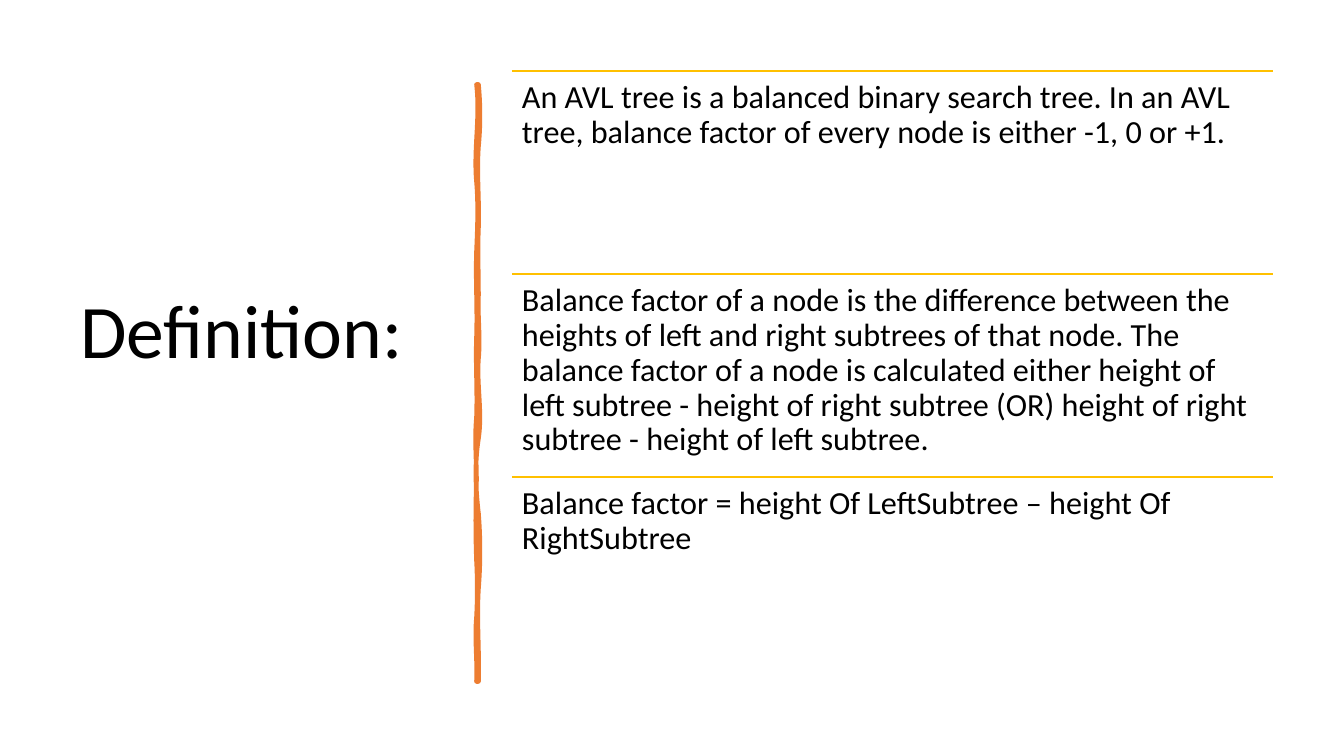
from copy import deepcopy
from pptx import Presentation
from pptx.dml.color import RGBColor
from pptx.enum.shapes import MSO_CONNECTOR
from pptx.enum.text import MSO_ANCHOR, MSO_AUTO_SIZE, PP_ALIGN
from pptx.oxml.ns import qn
from pptx.util import Pt
from lxml import etree

STRAIGHT = MSO_CONNECTOR.STRAIGHT
TOP, MIDDLE = MSO_ANCHOR.TOP, MSO_ANCHOR.MIDDLE
LEFT = PP_ALIGN.LEFT
NO_AUTOFIT = MSO_AUTO_SIZE.NONE
PX = 914400 / 100.8

THEME = {
    "font": "Calibri",
    "text": RGBColor(0x00, 0x00, 0x00),
    "brush": RGBColor(0xED, 0x7D, 0x31),
    "rule": RGBColor(0xFF, 0xC0, 0x00),
    "title_size": Pt(54),
    "body_size": Pt(23),
    "brush_width": Pt(3.25),
    "rule_width": Pt(1),
}


def px(length):
    return round(length * PX)


def write(frame, text, size, anchor):
    frame.word_wrap = True
    frame.auto_size = NO_AUTOFIT
    frame.vertical_anchor = anchor
    frame.margin_left = frame.margin_right = px(10)
    paragraph = frame.paragraphs[0]
    paragraph.text = text
    paragraph.alignment = LEFT
    paragraph.line_spacing = 0.9
    font = paragraph.runs[0].font
    font.name, font.size, font.color.rgb = THEME["font"], size, THEME["text"]
    return paragraph


prs = Presentation()
prs.slide_width, prs.slide_height = px(1344), px(756)
slide = prs.slides.add_slide(prs.slide_layouts[5])

# Title, followed by a line break of the same size
title = slide.shapes.title
title.left, title.top, title.width, title.height = px(70), px(71), px(377), px(616)
heading = write(title.text_frame, "Definition: \v", THEME["title_size"], MIDDLE)
heading_format = heading.runs[0].font._element
line_break = heading._p.find(qn("a:br"))
line_break.insert(0, deepcopy(heading_format))
closing_format = deepcopy(heading_format)
closing_format.tag = qn("a:endParaRPr")
heading._p.append(closing_format)

# Brush stroke: a thin bar turned upright, each side a chain of curves
# given as (first bow, second bow, end along the bar)
BRUSH_LEFT, BRUSH_TOP, BRUSH_LENGTH, BRUSH_THICKNESS = 179, 382, 597, 2
contour_sides = (
    [(2, 2, 62), (-2, 1, 143), (-1, 0, 211), (-1, 2, 274),
     (-2, 4, 354), (-4, -3, 429), (2, 2, 504), (-2, 1, 597)],
    [(1, -2, 533), (1, 1, 476), (-1, -1, 396), (0, -2, 333),
     (1, -1, 253), (1, -1, 167), (1, 2, 97), (-3, 4, 0)],
)
core_sides = (
    [(0, -3, 68), (2, -1, 125), (1, -1, 211), (1, -2, 280),
     (2, 2, 348), (-3, 0, 435), (0, -1, 498), (1, -1, 597)],
    [(-3, 1, 533), (-1, 2, 458), (-2, 3, 390), (-3, 4, 304),
     (-4, 1, 217), (-2, -2, 155), (1, 1, 80), (-2, 2, 0)],
)
builder = slide.shapes.build_freeform(px(BRUSH_LEFT), px(BRUSH_TOP))
builder.add_line_segments([
    (px(BRUSH_LEFT + BRUSH_LENGTH), px(BRUSH_TOP)),
    (px(BRUSH_LEFT + BRUSH_LENGTH), px(BRUSH_TOP + BRUSH_THICKNESS)),
    (px(BRUSH_LEFT), px(BRUSH_TOP + BRUSH_THICKNESS)),
])
brush = builder.convert_to_shape()
brush.rotation = 90
brush.shadow.inherit = False
brush.fill.solid()
brush.fill.fore_color.rgb = THEME["brush"]
brush.line.color.rgb = THEME["brush"]
brush.line.width = THEME["brush_width"]

outlines = brush._element.spPr.find(qn("a:custGeom")).find(qn("a:pathLst"))
outlines.clear()
for sides, option, value in ((contour_sides, "fill", "none"), (core_sides, "stroke", "0")):
    outline = etree.SubElement(outlines, qn("a:path"), {
        "w": str(px(BRUSH_LENGTH)), "h": str(px(BRUSH_THICKNESS)), option: value})
    move = etree.SubElement(outline, qn("a:moveTo"))
    etree.SubElement(move, qn("a:pt"), x="0", y="0")
    start = 0
    for side, across in zip(sides, (0, BRUSH_THICKNESS)):
        for bow_1, bow_2, end in side:
            curve = etree.SubElement(outline, qn("a:cubicBezTo"))
            third = (end - start) / 3
            for along, bow in ((start + third, bow_1), (end - third, bow_2), (end, 0)):
                etree.SubElement(curve, qn("a:pt"),
                                 x=str(px(along)), y=str(px(across - bow)))
            start = end
        if across == 0:
            edge = etree.SubElement(outline, qn("a:lnTo"))
            etree.SubElement(edge, qn("a:pt"),
                             x=str(px(BRUSH_LENGTH)), y=str(px(BRUSH_THICKNESS)))
    etree.SubElement(outline, qn("a:close"))

# Definitions, each under its own rule
definitions = [
    "An AVL tree is a balanced binary search tree. In an AVL tree, balance factor "
    "of every node is either -1, 0 or +1.",
    "Balance factor of a node is the difference between the heights of left and right "
    "subtrees of that node. The balance factor of a node is calculated either height of "
    "left subtree - height of right subtree (OR) height of right subtree - height of "
    "left subtree.",
    "Balance factor = height Of LeftSubtree – height Of RightSubtree",
]
ROW_LEFT, ROW_TOP, ROW_WIDTH, ROW_HEIGHT = 512, 71, 761, 203
definition_rows = slide.shapes.add_group_shape().shapes
for row, definition in enumerate(definitions):
    top = px(ROW_TOP + row * ROW_HEIGHT)
    rule = definition_rows.add_connector(
        STRAIGHT, px(ROW_LEFT), top, px(ROW_LEFT + ROW_WIDTH), top)
    rule.line.color.rgb = THEME["rule"]
    rule.line.width = THEME["rule_width"]
    etree.SubElement(rule._element.spPr, qn("a:effectLst"))

    box = definition_rows.add_textbox(px(ROW_LEFT), top, px(ROW_WIDTH), px(ROW_HEIGHT))
    write(box.text_frame, definition, THEME["body_size"], TOP)
    box.text_frame.margin_top = box.text_frame.margin_bottom = px(10)

prs.save("out.pptx")
